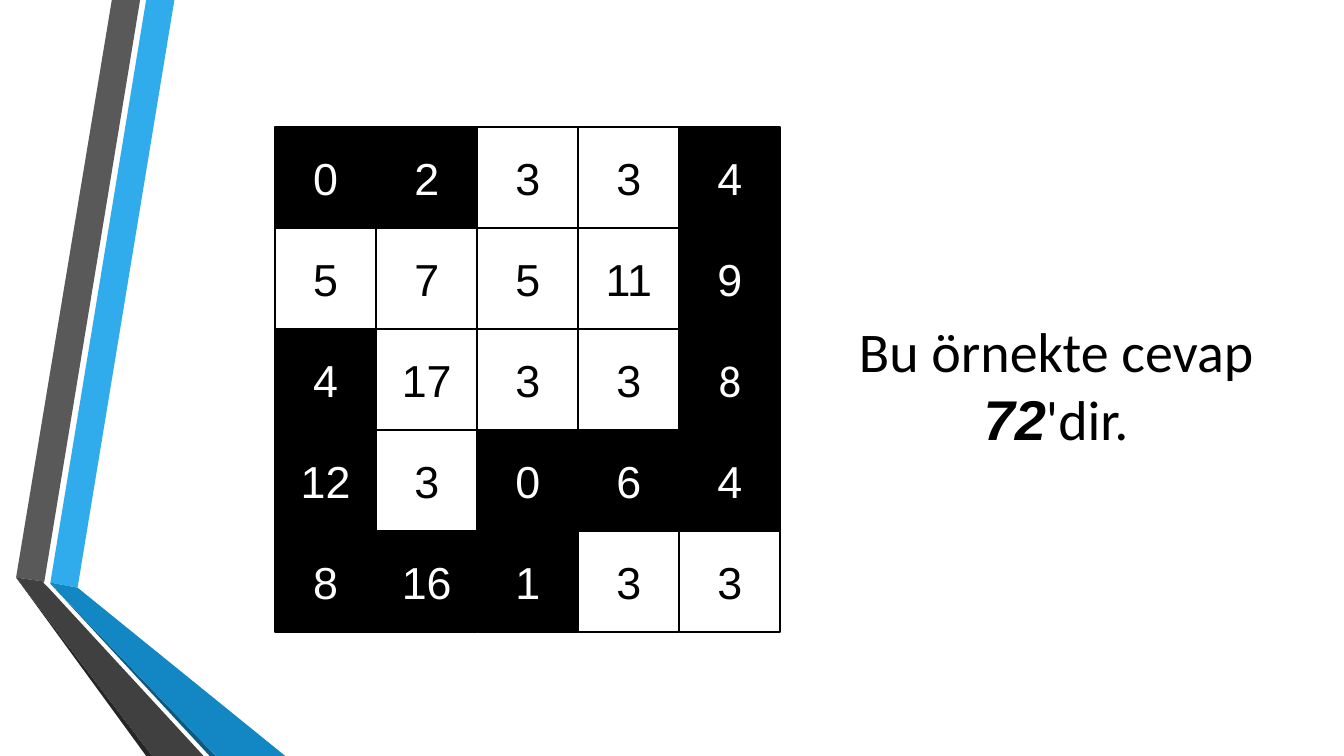
"""Build the number-grid answer slide."""
from pptx import Presentation
from pptx.dml.color import RGBColor
from pptx.enum.shapes import MSO_SHAPE
from pptx.enum.text import MSO_ANCHOR, PP_ALIGN
from pptx.util import Inches, Pt

COLORS = {
    "black": "000000", "white": "FFFFFF",
    "blue": "30ACEC", "blue_fold": "1287C3", "blue_edge": "0C5A82",
    "gray": "595959", "gray_fold": "404040", "gray_edge": "262626",
}
RIBBONS = [
    ("blue", [(0.5, 5.78), (0.77, 5.83), (1.73, 0), (1.45, 0)]),
    ("gray", [(1.39, 0), (1.11, 0), (0.16, 5.73), (0.44, 5.77)]),
    ("gray_edge", [(0.16, 5.73), (1.45, 7.5), (1.51, 7.5)]),
    ("blue_edge", [(0.5, 5.79), (2.08, 7.5), (2.14, 7.5)]),
    ("blue_fold", [(0.5, 5.79), (2.14, 7.5), (2.83, 7.5), (0.77, 5.83), (0.5, 5.78)]),
    ("gray_fold", [(2.02, 7.5), (0.48, 5.83), (0.43, 5.78), (0.44, 5.77),
                   (0.16, 5.73), (1.51, 7.5)]),
]
NUMBERS = [
    [0, 2, 3, 3, 4],
    [5, 7, 5, 11, 9],
    [4, 17, 3, 3, 8],
    [12, 3, 0, 6, 4],
    [8, 16, 1, 3, 3],
]
BLACK_CELLS = ["##..#", "....#", "#...#", "#.###", "###.."]
CALIBRI_CELL = (2, 4)
ANSWER = [("Bu örnekte cevap ", "Calibri", False),
          ("72", "Arial", True),
          ("'dir.", "Calibri", False)]
ANSWER_BOX = (8.19, 2.85, 4.57, 1.92)
GRID_LEFT, GRID_TOP = 2.73, 1.26
CELL = 1
STEP = 4.01 / 4


def color(name):
    return RGBColor.from_string(COLORS[name])


def paint(shape, name):
    shape.shadow.inherit = False
    shape.fill.solid()
    shape.fill.fore_color.rgb = color(name)


def style(span, size, font, name, strong=False):
    span.font.size = Pt(size)
    span.font.name = font
    span.font.bold = span.font.italic = strong
    span.font.color.rgb = color(name)


def add_ribbon(page, name, points):
    corners = [(Inches(x), Inches(y)) for x, y in points]
    builder = page.shapes.build_freeform(*corners[0])
    builder.add_line_segments(corners[1:], close=True)
    ribbon = builder.convert_to_shape()
    paint(ribbon, name)
    ribbon.line.fill.background()


def add_cell(page, row, column):
    cell = page.shapes.add_shape(
        MSO_SHAPE.RECTANGLE, Inches(GRID_LEFT + column * STEP),
        Inches(GRID_TOP + row * STEP), Inches(CELL), Inches(CELL))
    is_black = BLACK_CELLS[row][column] == "#"
    paint(cell, "black" if is_black else "white")
    cell.line.color.rgb = color("black")
    cell.line.width = Pt(1.25)
    frame = cell.text_frame
    frame.text = str(NUMBERS[row][column])
    frame.vertical_anchor = MSO_ANCHOR.MIDDLE
    para = frame.paragraphs[0]
    para.alignment = PP_ALIGN.CENTER
    font = "Calibri" if (row, column) == CALIBRI_CELL else "Arial"
    style(para.runs[0], 32, font, "white" if is_black else "black")


def add_answer(page):
    box = page.shapes.add_textbox(*map(Inches, ANSWER_BOX))
    frame = box.text_frame
    frame.word_wrap = True
    frame.vertical_anchor = MSO_ANCHOR.MIDDLE
    para = frame.paragraphs[0]
    para.alignment = PP_ALIGN.CENTER
    for text, font, strong in ANSWER:
        span = para.add_run()
        span.text = text
        style(span, 40, font, "black", strong)


def main():
    deck = Presentation()
    deck.slide_width, deck.slide_height = Inches(13.33), Inches(7.5)
    page = deck.slides.add_slide(deck.slide_layouts[6])
    for name, points in RIBBONS:
        add_ribbon(page, name, points)
    add_answer(page)
    for row, values in enumerate(NUMBERS):
        for column in range(len(values)):
            add_cell(page, row, column)
    deck.save("out.pptx")


if __name__ == "__main__":
    main()
